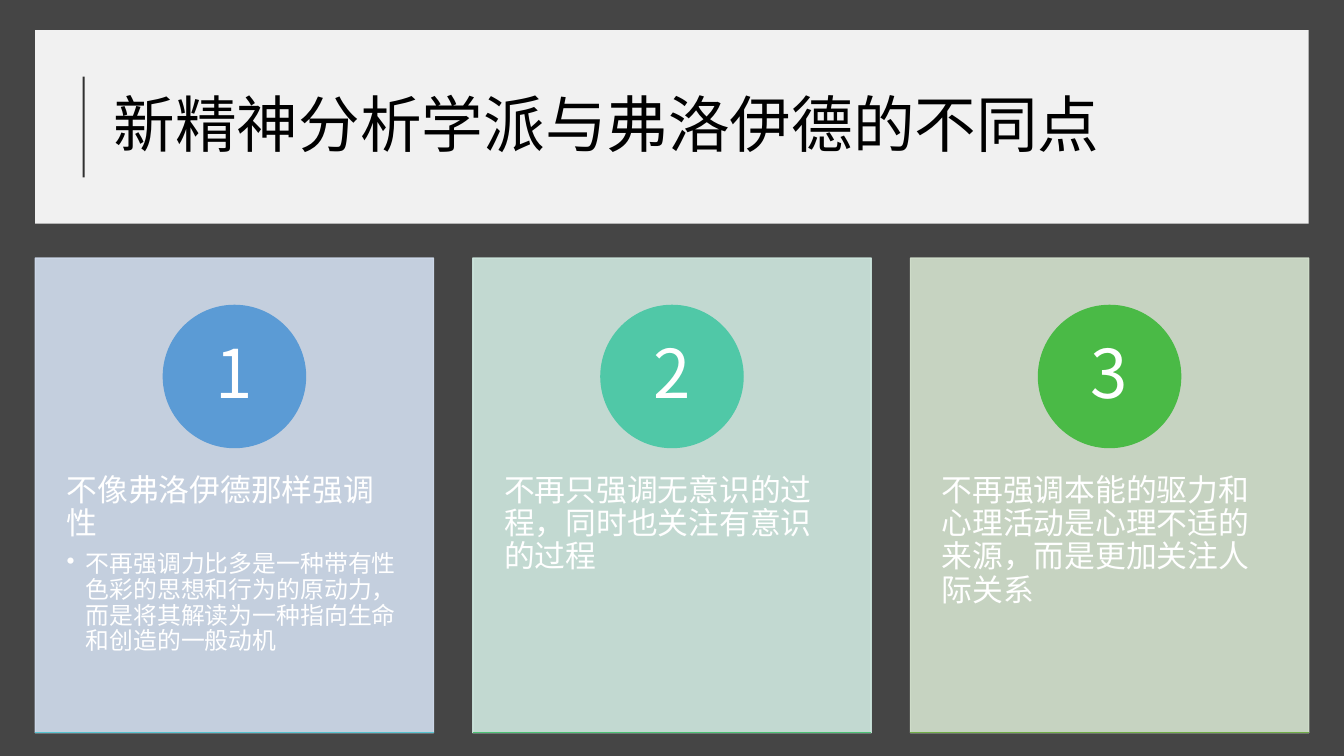
from lxml.etree import SubElement
from pptx import Presentation
from pptx.dml.color import RGBColor
from pptx.enum.shapes import MSO_CONNECTOR, MSO_SHAPE
from pptx.enum.text import MSO_ANCHOR, PP_ALIGN
from pptx.oxml.ns import qn
from pptx.util import Inches, Pt

FONT = "Noto Sans CJK SC"


def paint(fill, color, opacity=100):
    """Fill with a hex colour, with opacity in percent."""
    fill.solid()
    fill.fore_color.rgb = RGBColor.from_string(color)
    if opacity < 100:
        solid = fill._xPr.find(qn("a:solidFill"))
        SubElement(solid[0], qn("a:alpha"), val=str(opacity * 1000))


class SlideBuilder:
    def __init__(self, slide, font):
        self.slide = slide
        self.font = font

    def shape(self, kind, left, top, width, height, color, opacity=100, outlined=True):
        shape = self.slide.shapes.add_shape(
            kind, Inches(left), Inches(top), Inches(width), Inches(height))
        shape.shadow.inherit = False
        paint(shape.fill, color, opacity)
        if outlined:
            shape.line.width = Pt(1)
            paint(shape.line.fill, color, opacity)
        else:
            shape.line.fill.background()
        return shape

    def line(self, start, end, color, width, opacity=100):
        connector = self.slide.shapes.add_connector(
            MSO_CONNECTOR.STRAIGHT, *(Inches(value) for value in start + end))
        SubElement(connector._element.spPr, qn("a:effectLst"))
        connector.line.width = Pt(width)
        paint(connector.line.fill, color, opacity)

    def text_frame(self, shape, anchor, horizontal, vertical):
        frame = shape.text_frame
        frame.word_wrap = True
        frame.vertical_anchor = anchor
        frame.margin_left = frame.margin_right = Inches(horizontal)
        frame.margin_top = frame.margin_bottom = Inches(vertical)
        return frame

    def text_box(self, left, top, width, height, anchor, horizontal, vertical):
        box = self.slide.shapes.add_textbox(
            Inches(left), Inches(top), Inches(width), Inches(height))
        return self.text_frame(box, anchor, horizontal, vertical)

    def add_text(self, paragraph, text, size, color="FFFFFF", align=PP_ALIGN.LEFT,
                 after=0, bullet=False):
        paragraph.alignment = align
        paragraph.line_spacing = 0.9
        paragraph.space_after = Pt(after)
        if bullet:
            paragraph.level = 1
            properties = paragraph._p.get_or_add_pPr()
            properties.set("marL", str(Inches(0.19)))
            properties.set("indent", str(Inches(-0.19)))
            SubElement(properties, qn("a:buChar"), char="•")
        run = paragraph.add_run()
        run.text = text
        run.font.size = Pt(size)
        run.font.name = self.font
        paint(run.font.fill, color)
        SubElement(run._r.get_or_add_rPr(), qn("a:ea"), typeface=self.font)


LEFT, CARD_TOP, CARD_WIDTH, CARD_HEIGHT, CARD_STEP = 0.35, 2.56, 3.95, 4.71, 4.34
CIRCLE = 1.41

# Panel, circle and base line colours, heading, bullets
CARDS = [
    ("D2DEEF", "5B9BD5", "55C3CF", "不像弗洛伊德那样强调性",
     ["不再强调力比多是一种带有性色彩的思想和行为的原动力，而是将其解读为一种指向生命和创造的一般动机"]),
    ("D0EAE1", "50C8A7", "4BC174", "不再只强调无意识的过程，同时也关注有意识的过程", []),
    ("D5E3CF", "4ABA46", "70AD47",
     "不再强调本能的驱力和心理活动是心理不适的来源，而是更加关注人际关系", []),
]


def add_card(builder, number, left, panel, circle_color, base_color, heading, bullets):
    builder.shape(MSO_SHAPE.RECTANGLE, left, CARD_TOP, CARD_WIDTH, CARD_HEIGHT, panel, 90)

    # Heading and bullets
    frame = builder.text_box(left, 4.35, CARD_WIDTH, 2.83, MSO_ANCHOR.TOP, 0.31, 0.36)
    builder.add_text(frame.paragraphs[0], heading, 22, after=7.7)
    for bullet in bullets:
        builder.add_text(frame.add_paragraph(), bullet, 17, after=2.55, bullet=True)

    # Numbered circle
    circle = builder.shape(MSO_SHAPE.OVAL, left + (CARD_WIDTH - CIRCLE) / 2, 3.03,
                           CIRCLE, CIRCLE, circle_color)
    frame = builder.text_frame(circle, MSO_ANCHOR.MIDDLE, 0.11, 0.01)
    builder.add_text(frame.paragraphs[0], str(number), 48, align=PP_ALIGN.CENTER)

    # Base line
    bottom = CARD_TOP + CARD_HEIGHT
    builder.line((left, bottom), (left + CARD_WIDTH, bottom), base_color, 1)


def main():
    presentation = Presentation()
    presentation.slide_width = Inches(13.33)
    presentation.slide_height = Inches(7.5)
    slide = presentation.slides.add_slide(presentation.slide_layouts[6])
    paint(slide.background.fill, "454545")
    builder = SlideBuilder(slide, FONT)

    # Title band
    builder.shape(MSO_SHAPE.RECTANGLE, LEFT, 0.3, 12.63, 1.92, "FFFFFF", 93, outlined=False)
    frame = builder.text_box(1.03, 0.53, 11.42, 1.47, MSO_ANCHOR.MIDDLE, 0.1, 0.05)
    builder.add_text(frame.paragraphs[0], "新精神分析学派与弗洛伊德的不同点", 44, "000000")
    builder.line((0.83, 1.76), (0.83, 0.76), "000000", 1.5, 80)

    # Three cards
    for index, card in enumerate(CARDS):
        add_card(builder, index + 1, LEFT + index * CARD_STEP, *card)

    presentation.save("out.pptx")


if __name__ == "__main__":
    main()
